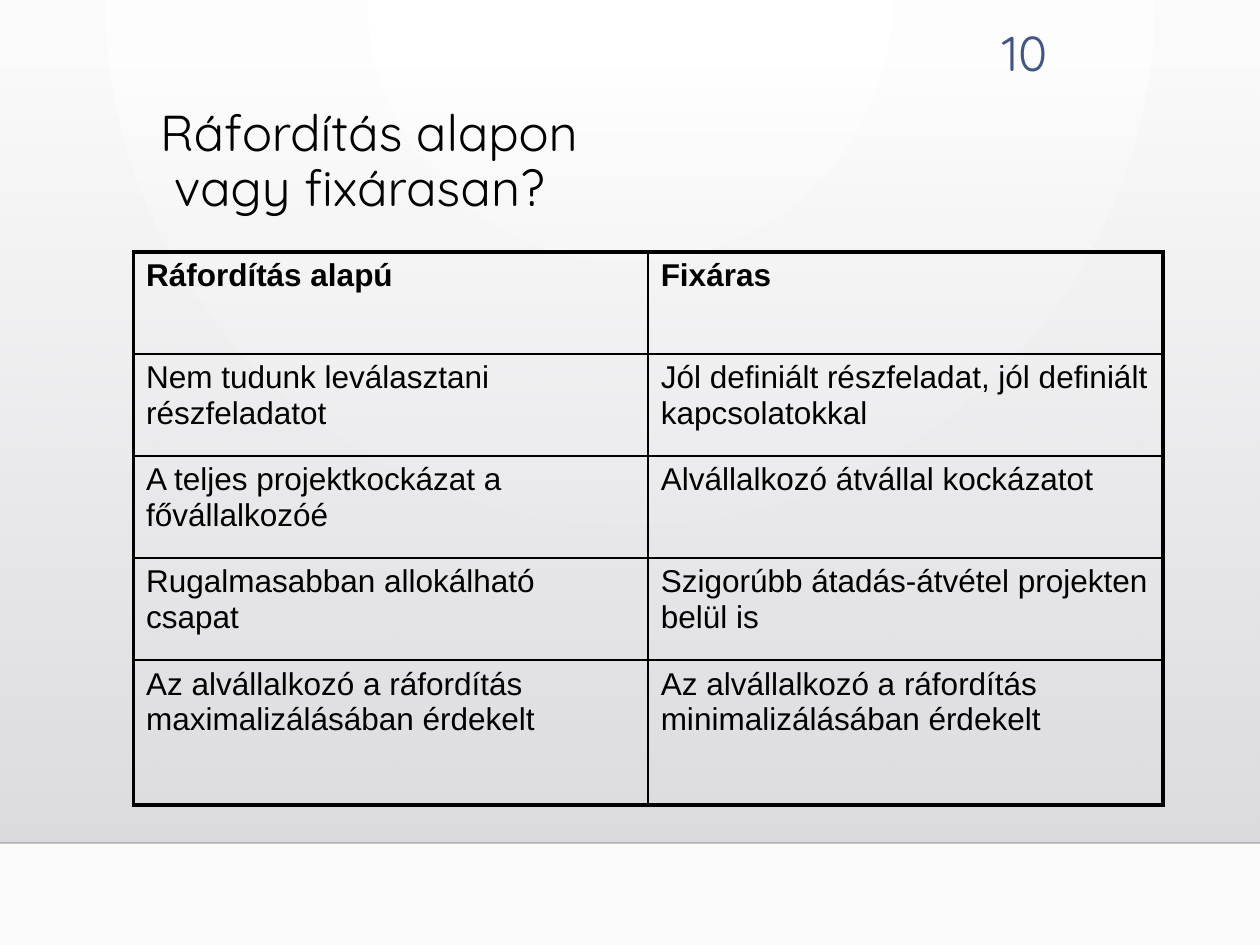
from lxml.etree import SubElement as Sub
from pptx import Presentation
from pptx.dml.color import RGBColor as RGB
from pptx.enum.shapes import MSO_CONNECTOR as Conn, MSO_SHAPE as Shape
from pptx.enum.text import MSO_ANCHOR as Anchor, MSO_AUTO_SIZE as Auto, PP_ALIGN as Align
from pptx.oxml.ns import qn
from pptx.util import Inches, Pt

HUES = {
    "white": "FFFFFF", "pale": "FAFAFA", "haze": "DCDCE0", "mist": "DEDEE2",
    "rule": "000001", "blue": "415588", "black": "000000",
}
ROWS = [
    ("Ráfordítás alapú", "Fixáras"),
    ("Nem tudunk leválasztani részfeladatot",
     "Jól definiált részfeladat, jól definiált kapcsolatokkal"),
    ("A teljes projektkockázat a fővállalkozóé",
     "Alvállalkozó átvállal kockázatot"),
    ("Rugalmasabban allokálható csapat",
     "Szigorúbb átadás-átvétel projekten belül is"),
    ("Az alvállalkozó a ráfordítás maximalizálásában érdekelt",
     "Az alvállalkozó a ráfordítás minimalizálásában érdekelt"),
]


def hue(name):
    return RGB.from_string(HUES[name])


def fade(color, part):
    """Set the opacity, in percent, of a solid colour inside an element."""
    Sub(color, qn("a:alpha"), val=str(part * 1000))


class Deck:
    head = {"name": "Quicksand", "size": Pt(28.8), "bold": False}
    page = {"name": "Quicksand", "size": Pt(28)}
    body = {"name": "Arial", "size": Pt(18)}
    thin, thick = Pt(1), Pt(2.25)

    def __init__(self):
        self.prs = Presentation()
        self.prs.slide_width, self.prs.slide_height = Inches(10), Inches(7.5)
        self.slide = self.prs.slides.add_slide(self.prs.slide_layouts[5])
        self.shapes = self.slide.shapes

    def font(self, font, form, color):
        for key, val in form.items():
            setattr(font, key, val)
        font.color.rgb = hue(color)

    def frame(self, frame, align):
        for key, val in {"word_wrap": True, "auto_size": Auto.NONE,
                         "vertical_anchor": Anchor.MIDDLE}.items():
            setattr(frame, key, val)
        frame.paragraphs[0].alignment = align
        return frame.paragraphs[0]

    def blend(self, fill, host, names):
        """Fill with a two-stop gradient and return its element."""
        fill.gradient()
        for stop, name in zip(fill.gradient_stops, names):
            stop.color.rgb = hue(name)
        return next(host.iter(qn("a:gradFill")))

    def back(self):
        grad = self.blend(self.slide.background.fill, self.slide.element,
                          ("white", "pale"))
        grad.remove(grad.find(qn("a:lin")))
        ring = Sub(grad, qn("a:path"), path="circle")
        Sub(ring, qn("a:fillToRect"), l="43000", r="43000", b="100000")

    def panel(self, box):
        rect = self.shapes.add_shape(Shape.RECTANGLE, *map(Inches, box))
        rect.shadow.inherit = False
        rect.line.fill.background()
        grad = self.blend(rect.fill, rect.element, ("haze", "mist"))
        rect.fill.gradient_angle = 270
        fade(next(grad.iter(qn("a:srgbClr"))), 0)

    def line(self, ends):
        line = self.shapes.add_connector(Conn.STRAIGHT, *map(Inches, ends))
        line.line.width = self.thin
        line.line.color.rgb = hue("rule")
        fade(next(line.element.iter(qn("a:srgbClr"))), 20)
        Sub(line.element.spPr, qn("a:effectLst"))

    def title(self, text, box):
        title = self.shapes.title
        title.left, title.top, title.width, title.height = map(Inches, box)
        title.text_frame.text = text
        para = self.frame(title.text_frame, Align.LEFT)
        para.line_spacing = 0.9
        for run in para.runs:
            self.font(run.font, self.head, "black")
        self.shapes.element.append(title.element)  # bring to front

    def number(self, text, box):
        area = self.shapes.add_textbox(*map(Inches, box)).text_frame
        area.text = text
        para = self.frame(area, Align.RIGHT)
        self.font(para.runs[0].font, self.page, "blue")

    def edges(self, cell, outer):
        """Draw cell borders: thick on the sides named in outer."""
        props = cell._tc.get_or_add_tcPr()
        for side in "LRTB":
            width = self.thick if side in outer else self.thin
            edge = Sub(props, qn(f"a:ln{side}"), w=str(width))
            fill = Sub(edge, qn("a:solidFill"))
            Sub(fill, qn("a:srgbClr"), val=HUES["black"])

    def table(self, rows, box, highs):
        table = self.shapes.add_table(len(rows), len(rows[0]),
                                      *map(Inches, box)).table
        table.first_row = table.horz_banding = False
        for r, (row, high) in enumerate(zip(rows, highs)):
            table.rows[r].height = Inches(high)
            ends = "T" if r == 0 else "B" if r == len(rows) - 1 else ""
            for c, text in enumerate(row):
                cell = table.cell(r, c)
                cell.text = text
                para = cell.text_frame.paragraphs[0]
                gap = Sub(para._p.get_or_add_pPr(), qn("a:spcBef"))
                Sub(gap, qn("a:spcPct"), val="20000")
                form = {**self.body, "bold": r == 0}
                self.font(para.runs[0].font, form, "black")
                self.edges(cell, ends + "LR"[c])
                cell.fill.background()


def main():
    deck = Deck()
    deck.back()
    deck.panel((0, 0.51, 10, 6.18))
    deck.line((0, 6.69, 10, 6.69))
    deck.number("10", (7.54, 0.14, 0.87, 0.55))
    deck.title("Ráfordítás alapon\v vagy fixárasan?", (1.17, 0.83, 6.17, 0.92))
    deck.table(ROWS, (1.06, 2, 8.17, 4.38), [0.81] * 4 + [1.15])
    deck.prs.save("out.pptx")


if __name__ == "__main__":
    main()
